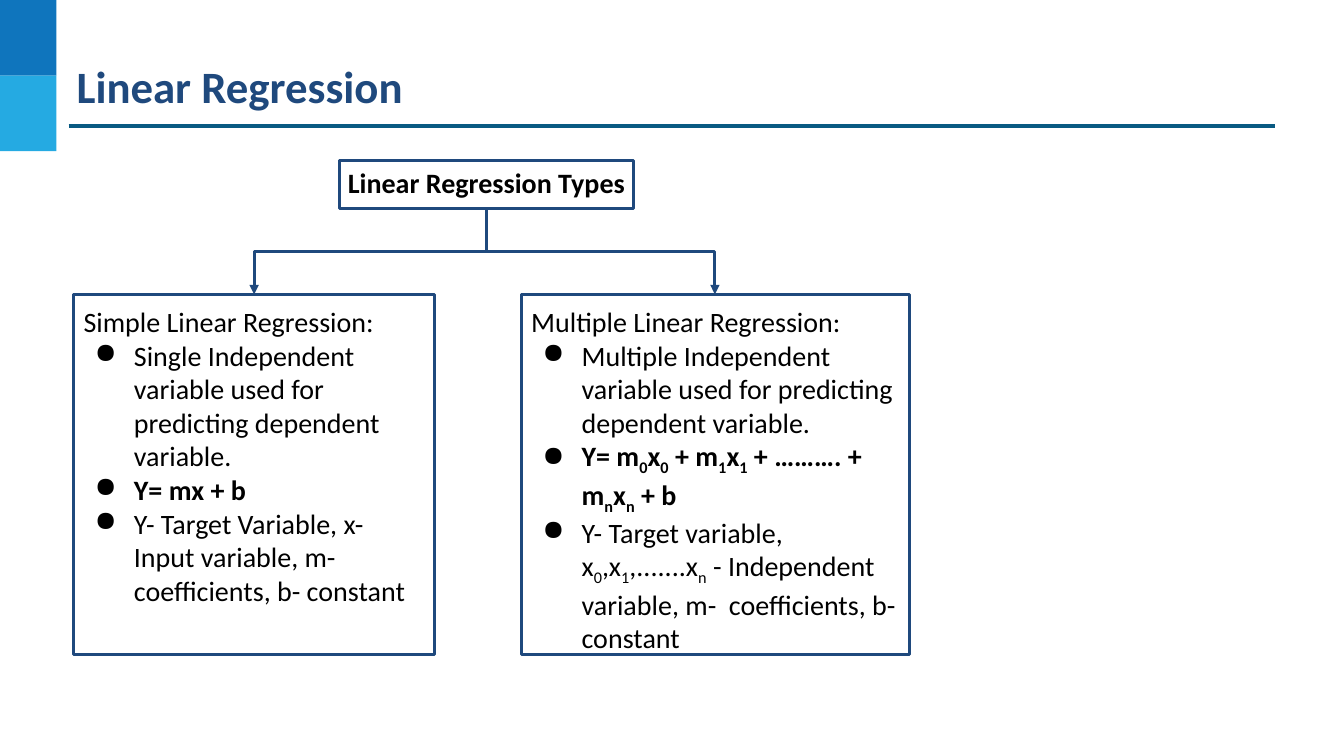
from lxml import etree
from pptx import Presentation
from pptx.dml.color import RGBColor
from pptx.enum.shapes import MSO_CONNECTOR, MSO_SHAPE
from pptx.enum.text import MSO_ANCHOR, PP_ALIGN
from pptx.oxml.ns import qn
from pptx.util import Inches, Pt

RECTANGLE = MSO_SHAPE.RECTANGLE
STRAIGHT, ELBOW = MSO_CONNECTOR.STRAIGHT, MSO_CONNECTOR.ELBOW
LEFT, TOP, MIDDLE = PP_ALIGN.LEFT, MSO_ANCHOR.TOP, MSO_ANCHOR.MIDDLE

# Content: subscripts stand in braces
TITLE = "Linear Regression"
ROOT = "Linear Regression Types"
TYPES = [
    {
        "box": (0.73, 2.92, 3.58, 3.57),
        "insets": (0.1, 0.1, 0.26, 0.1),
        "arrow_x": 2.52,
        "heading": "Simple Linear Regression:",
        "bullets": [
            ("Single Independent variable used for predicting dependent variable.", False),
            ("Y= mx + b", True),
            ("Y- Target Variable, x- Input variable, m- coefficients, b- constant", False),
        ],
    },
    {
        "box": (5.17, 2.92, 3.85, 3.57),
        "insets": (0.1, 0.1, 0.1, 0.1),
        "arrow_x": 7.09,
        "heading": "Multiple Linear Regression:",
        "bullets": [
            ("Multiple Independent variable used for predicting dependent variable.", False),
            ("Y= m{0}x{0} + m{1}x{1} + ………. + m{n}x{n} + b", True),
            ("Y- Target variable, x{0},x{1},.......x{n} - Independent variable, "
             "m-  coefficients, b- constant", False),
        ],
    },
]

# Layout and style
ROOT_BOX = (3.37, 1.59, 2.91, 0.48)
BLOCK_WIDTH, BLOCK_HEIGHT = 0.56, 0.75
COLORS = {"navy": "1F497D", "rule": "095A82", "blue": "0F75BD", "sky": "25AAE2", "black": "000000"}
BODY_FORMAT = {"name": "Calibri", "size": Pt(20)}
TITLE_FORMAT = {"name": "Calibri", "size": Pt(32), "bold": True}


def color(name):
    return RGBColor.from_string(COLORS[name])


def inches(values):
    return [Inches(value) for value in values]


def format_frame(frame, insets, anchor, wrap=True):
    settings = dict(zip(("margin_left", "margin_top", "margin_right", "margin_bottom"), inches(insets)))
    settings.update(vertical_anchor=anchor, word_wrap=wrap)
    for name, value in settings.items():
        setattr(frame, name, value)


def write(paragraph, text, text_format, color_name="black"):
    paragraph.alignment = LEFT
    for index, piece in enumerate(text.replace("}", "{").split("{")):
        run = paragraph.add_run()
        run.text = piece
        for name, value in text_format.items():
            setattr(run.font, name, value)
        run.font.color.rgb = color(color_name)
        if index % 2:
            run._r.get_or_add_rPr().set("baseline", "-25000")


def add_bullet(paragraph):
    properties = paragraph._p.get_or_add_pPr()
    properties.set("marL", str(Inches(0.5)))
    properties.set("indent", str(Inches(-0.39)))
    bullet_color = etree.SubElement(properties, qn("a:buClr"))
    etree.SubElement(bullet_color, qn("a:srgbClr"), val=COLORS["black"])
    etree.SubElement(properties, qn("a:buChar"), char="●")


def add_block(slide, box, fill=None):
    shape = slide.shapes.add_shape(RECTANGLE, *inches(box))
    shape.shadow.inherit = False
    if fill:
        shape.fill.solid()
        shape.fill.fore_color.rgb = color(fill)
        shape.line.fill.background()
    else:
        shape.fill.background()
        shape.line.color.rgb = color("navy")
        shape.line.width = Pt(2.25)
    return shape


def add_line(slide, kind, ends, color_name):
    connector = slide.shapes.add_connector(kind, *inches(ends))
    connector.line.color.rgb = color(color_name)
    connector.line.width = Pt(2.25)
    etree.SubElement(connector._element.spPr, qn("a:effectLst"))
    return connector


def add_branch(slide, start_x, start_y, end_x, end_y):
    # A quarter turn makes the elbow leave downwards, so its sides swap
    drop, span = end_y - start_y, abs(end_x - start_x)
    center_x, center_y = (start_x + end_x) / 2, (start_y + end_y) / 2
    side = 1 if end_x > start_x else -1
    ends = (center_x + side * drop / 2, center_y - span / 2,
            center_x - side * drop / 2, center_y + span / 2)
    connector = add_line(slide, ELBOW, ends, "navy")
    connector._element.spPr.find(qn("a:xfrm")).set("rot", str((270 if side > 0 else 90) * 60000))
    etree.SubElement(connector.line._get_or_add_ln(), qn("a:tailEnd"), type="triangle")


def main():
    presentation = Presentation()
    presentation.slide_width, presentation.slide_height = Inches(13.33), Inches(7.5)
    slide = presentation.slides.add_slide(presentation.slide_layouts[5])

    # Corner blocks and title rule
    for row, fill in enumerate(("blue", "sky")):
        add_block(slide, (0, row * BLOCK_HEIGHT, BLOCK_WIDTH, BLOCK_HEIGHT), fill)
    add_line(slide, STRAIGHT, (0.68, 1.25, 12.65, 1.25), "rule")

    # Title
    title = slide.shapes.title
    title.left, title.top, title.width, title.height = inches((0.74, 0.56, 11.97, 0.58))
    format_frame(title.text_frame, (0.02,) * 4, MIDDLE)
    write(title.text_frame.paragraphs[0], TITLE, TITLE_FORMAT, "navy")

    # Root box
    root = add_block(slide, ROOT_BOX)
    format_frame(root.text_frame, (0.08, 0.05, 0.05, 0.05), TOP, wrap=False)
    write(root.text_frame.paragraphs[0], ROOT, {**BODY_FORMAT, "bold": True})

    # Regression types, each with its branch from the root
    left, top, width, height = ROOT_BOX
    for kind in TYPES:
        frame = add_block(slide, kind["box"]).text_frame
        format_frame(frame, kind["insets"], TOP)
        write(frame.paragraphs[0], kind["heading"], BODY_FORMAT)
        for text, bold in kind["bullets"]:
            paragraph = frame.add_paragraph()
            write(paragraph, text, {**BODY_FORMAT, "bold": bold})
            add_bullet(paragraph)
        add_branch(slide, left + width / 2, top + height, kind["arrow_x"], kind["box"][1])

    presentation.save("out.pptx")


if __name__ == "__main__":
    main()
